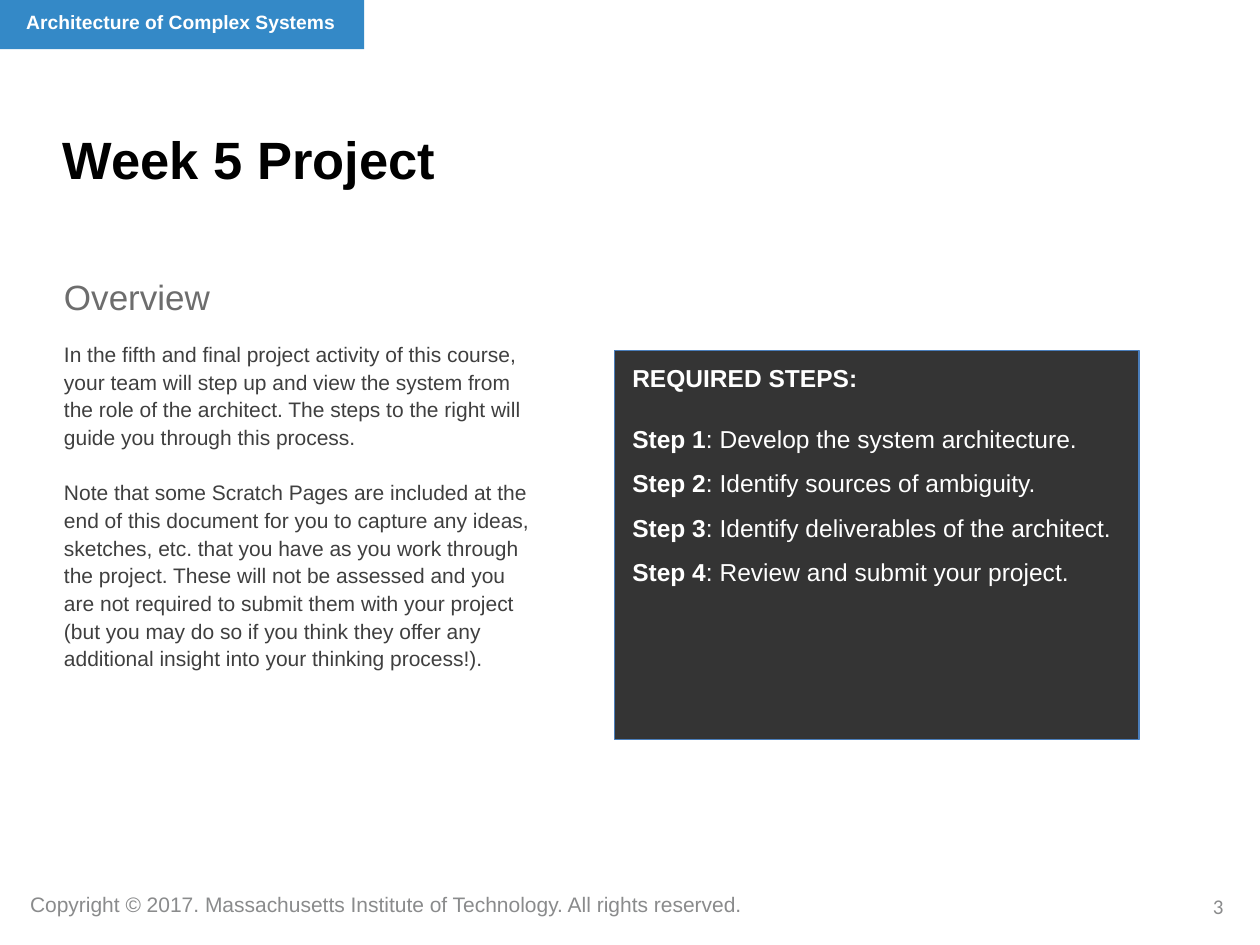
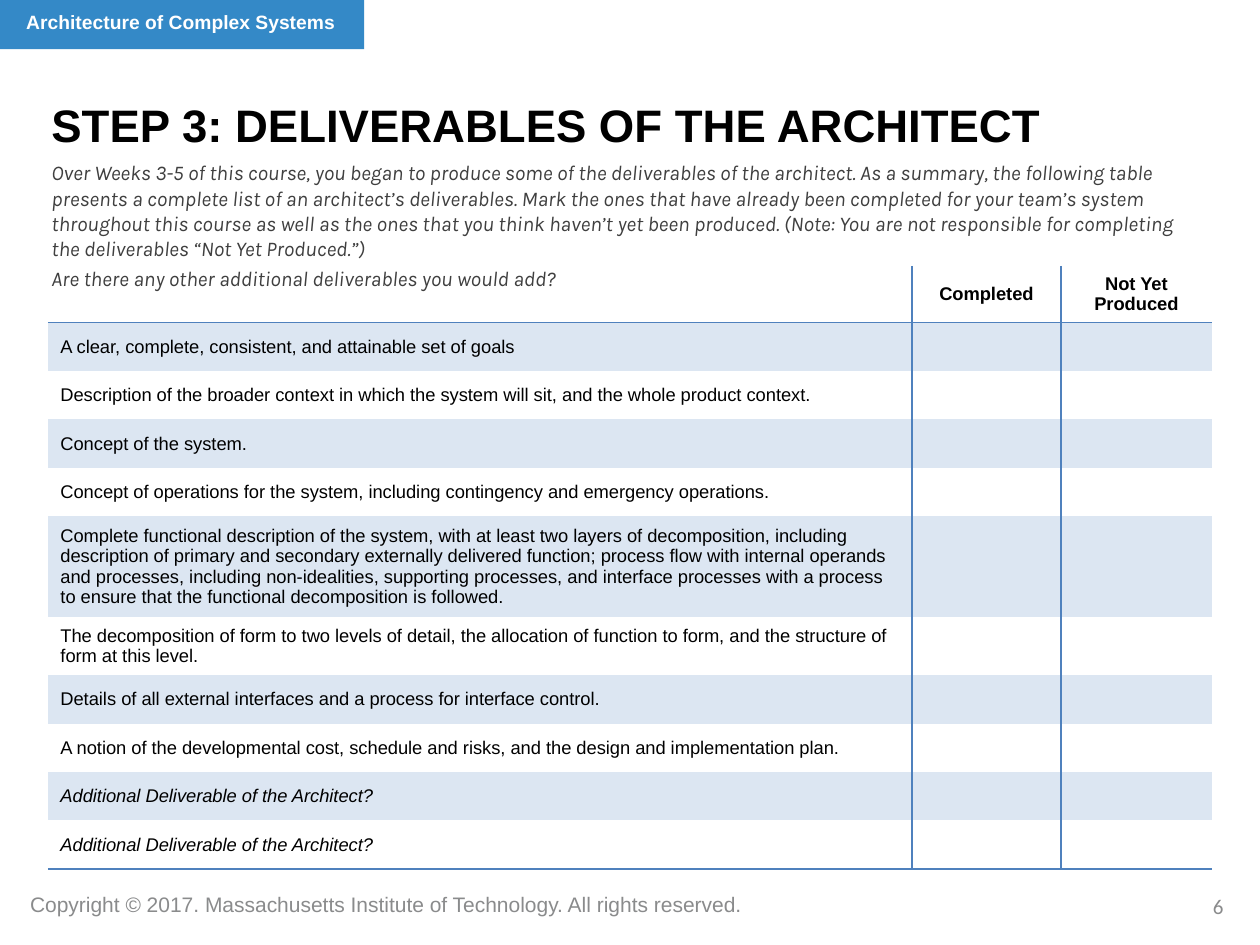
"""Build two project slides for a systems architecture course."""
import dataclasses

import lxml.etree
import pptx
import pptx.dml.color
import pptx.enum.shapes
import pptx.enum.text
import pptx.oxml.ns
import pptx.util

Inches = pptx.util.Inches
Pt = pptx.util.Pt
Align = pptx.enum.text.PP_ALIGN
Anchor = pptx.enum.text.MSO_ANCHOR
qn = pptx.oxml.ns.qn


@dataclasses.dataclass(frozen=True)
class Theme:
    """Colours, fonts and type sizes shared by the slides."""

    band: str = "3489C7"
    white: str = "FFFFFF"
    black: str = "000000"
    panel: str = "343434"
    panel_edge: str = "4A7EBB"
    body: str = "3F3F3F"
    heading: str = "6D6D6D"
    footer: str = "8A8B8C"
    rule: str = "4F81BD"
    stripe: str = "DCE6F2"
    font: str = "Arial"
    number_font: str = "Calibri"
    intro_font: str = "Karla"
    title_size: float = 30
    step_title_size: float = 26
    heading_size: float = 20
    panel_size: float = 14
    body_size: float = 12
    course_size: float = 11
    table_size: float = 10.5


THEME = Theme()
COURSE = "Architecture of Complex Systems"
COPYRIGHT = "Copyright © 2017. Massachusetts Institute of Technology. All rights reserved."
OVERVIEW = [
    "In the fifth and final project activity of this course, your team will step up and view "
    "the system from the role of the architect. The steps to the right will guide you through "
    "this process.",
    "Note that some Scratch Pages are included at the end of this document for you to capture "
    "any ideas, sketches, etc. that you have as you work through the project. These will not be "
    "assessed and you are not required to submit them with your project (but you may do so if "
    "you think they offer any additional insight into your thinking process!).",
]
STEPS = [
    "Develop the system architecture.",
    "Identify sources of ambiguity.",
    "Identify deliverables of the architect.",
    "Review and submit your project.",
]
INTRO = [
    "Over Weeks 3-5 of this course, you began to produce some of the deliverables of the "
    "architect. As a summary, the following table presents a complete list of an architect’s "
    "deliverables. Mark the ones that have already been completed for your team’s system "
    "throughout this course as well as the ones that you think haven’t yet been produced. "
    "(Note: You are not responsible for completing the deliverables “Not Yet Produced.”)",
    "Are there any other additional deliverables you would add?",
]
STATUSES = ["", "Completed", "Not Yet Produced"]
EXTRA = "Additional Deliverable of the Architect?"
ROW = 0.385
DELIVERABLES = [
    ("A clear, complete, consistent, and attainable set of goals", ROW),
    ("Description of the broader context in which the system will sit, and the whole product "
     "context.", ROW),
    ("Concept of the system.", ROW),
    ("Concept of operations for the system, including contingency and emergency operations.", ROW),
    ("Complete functional description of the system, with at least two layers of decomposition, "
     "including description of primary and secondary externally delivered function; process flow "
     "with internal operands and processes, including non-idealities, supporting processes, and "
     "interface processes with a process to ensure that the functional decomposition is followed.",
     0.79),
    ("The decomposition of form to two levels of detail, the allocation of function to form, and "
     "the structure of form at this level.", 0.46),
    ("Details of all external interfaces and a process for interface control.", ROW),
    ("A notion of the developmental cost, schedule and risks, and the design and implementation "
     "plan.", ROW),
    (EXTRA, ROW),
    (EXTRA, ROW),
]


def rgb(value):
    """Turn a hex string into a colour."""
    return pptx.dml.color.RGBColor.from_string(value)


def write(frame, text, *, size, color, font=THEME.font, bold=False, italic=False,
          align=Align.LEFT, spacing=1.0, after=0, lead=""):
    """Add one paragraph to a frame, with an optional bold lead-in."""
    paragraph = frame.paragraphs[0]
    if paragraph.runs:
        paragraph = frame.add_paragraph()
    paragraph.alignment = align
    paragraph.line_spacing = spacing
    paragraph.space_before = Pt(0)
    paragraph.space_after = Pt(after)
    for words, heavy in ((lead, True), (text, bold)):
        if words:
            run = paragraph.add_run()
            run.text = words
            run.font.name = font
            run.font.size = Pt(size)
            run.font.bold = heavy
            run.font.italic = italic
            run.font.color.rgb = rgb(color)


def add_frame(slide, box, wrap=True):
    """Add a text box and return its frame."""
    frame = slide.shapes.add_textbox(*map(Inches, box)).text_frame
    frame.word_wrap = wrap
    return frame


def add_block(slide, box, fill, edge=None):
    """Add a plain rectangle and return its text frame."""
    block = slide.shapes.add_shape(pptx.enum.shapes.MSO_SHAPE.RECTANGLE, *map(Inches, box))
    block.shadow.inherit = False
    block.fill.solid()
    block.fill.fore_color.rgb = rgb(fill)
    if edge:
        block.line.color.rgb = rgb(edge)
        block.line.width = Pt(0.75)
    else:
        block.line.fill.background()
    frame = block.text_frame
    frame.word_wrap = True
    frame.vertical_anchor = Anchor.TOP
    return frame


def add_base(deck, number):
    """Add a blank slide with the course band, copyright line and page number."""
    slide = deck.slides.add_slide(deck.slide_layouts[6])
    add_block(slide, (-0.01, 0, 2.9, 0.39), THEME.band)
    write(add_frame(slide, (0.11, 0.03, 2.79, 0.58)), COURSE,
          size=THEME.course_size, color=THEME.white, bold=True)
    write(add_frame(slide, (0.14, 7.03, 5.96, 0.3), wrap=False), COPYRIGHT,
          size=THEME.body_size, color=THEME.footer)
    write(add_frame(slide, (7.48, 7.04, 2.33, 0.4)), str(number), size=THEME.body_size,
          color=THEME.footer, font=THEME.number_font, align=Align.RIGHT)
    return slide


def add_title(slide, box, title, size):
    """Add the bold slide title."""
    write(add_block(slide, box, THEME.white), title, size=size, color=THEME.black, bold=True)


def add_overview(slide, box):
    """Add the overview heading with its text below."""
    left, top, width, height = box
    write(add_frame(slide, (left, top, width, 0.58)), "Overview",
          size=THEME.heading_size, color=THEME.heading)
    body = add_frame(slide, (left, top + 0.5, width, height - 0.5))
    for text, after in zip(OVERVIEW, (15.8, 0)):
        write(body, text, size=THEME.body_size, color=THEME.body, spacing=1.1, after=after)


def add_required_steps(slide, box):
    """Add the dark panel that lists the required steps."""
    left, top, width, height = box
    add_block(slide, box, THEME.panel, THEME.panel_edge)
    steps = add_frame(slide, (left + 0.04, top + 0.05, width - 0.12, height - 0.05))
    style = {"size": THEME.panel_size, "color": THEME.white}
    write(steps, "REQUIRED STEPS:", bold=True, after=10, **style)
    for number, step in enumerate(STEPS, 1):
        write(steps, f": {step}", lead=f"Step {number}", spacing=1.5, **style)


def add_intro(slide, box):
    """Add the italic instructions above the table."""
    intro = add_frame(slide, box)
    for text, after in zip(INTRO, (3, 0)):
        write(intro, text, size=THEME.body_size, color=THEME.body,
              font=THEME.intro_font, italic=True, after=after)


def set_borders(cell, ruled):
    """Rule the named sides of a cell and clear the others."""
    properties = cell._tc.get_or_add_tcPr()
    for position, side in enumerate("LRTB"):
        line = lxml.etree.Element(qn(f"a:ln{side}"), w=str(Pt(1)))
        if side in ruled:
            fill = lxml.etree.SubElement(line, qn("a:solidFill"))
            lxml.etree.SubElement(fill, qn("a:srgbClr"), val=THEME.rule)
        else:
            lxml.etree.SubElement(line, qn("a:noFill"))
        properties.insert(position, line)


def fill_cell(cell, text, row, column, last_row):
    """Set the text, fill and rules of one table cell."""
    header = row == 0
    cell.vertical_anchor = Anchor.MIDDLE
    if text:
        write(cell.text_frame, text, size=THEME.table_size, color=THEME.black, bold=header,
              italic=text == EXTRA, align=Align.CENTER if header else Align.LEFT)
    else:
        lxml.etree.SubElement(cell.text_frame.paragraphs[0]._p, qn("a:endParaRPr"),
                              sz=str(int(THEME.table_size * 100)))
    if header and column == 0:
        cell.fill.background()
    else:
        cell.fill.solid()
        cell.fill.fore_color.rgb = rgb(THEME.stripe if row % 2 else THEME.white)
    ruled = ("R", "LR", "L")[column]
    ruled += "T" if row == 1 else ""
    ruled += "B" if row in (0, last_row) else ""
    set_borders(cell, ruled)


def add_deliverables(slide, box):
    """Add the table of deliverables with its two status columns."""
    rows = [STATUSES] + [[text, "", ""] for text, _ in DELIVERABLES]
    heights = [0.45] + [height for _, height in DELIVERABLES]
    table = slide.shapes.add_table(len(rows), len(STATUSES), *map(Inches, box)).table
    table.first_row = False
    table.horz_banding = False
    for column, width in zip(table.columns, (box[2] - 2.38, 1.18, 1.2)):
        column.width = Inches(width)
    for row, (texts, height) in enumerate(zip(rows, heights)):
        table.rows[row].height = Inches(height)
        for column, text in enumerate(texts):
            fill_cell(table.cell(row, column), text, row, column, len(rows) - 1)


def build_overview_slide(deck):
    """Build the slide that introduces the project."""
    slide = add_base(deck, 3)
    add_title(slide, (0.4, 0.96, 4.64, 0.58), "Week 5 Project", THEME.title_size)
    add_overview(slide, (0.41, 2.14, 3.96, 4.29))
    add_required_steps(slide, (4.88, 2.78, 4.16, 3.09))


def build_deliverables_slide(deck):
    """Build the slide with the deliverables checklist."""
    slide = add_base(deck, 6)
    add_title(slide, (0.31, 0.72, 8.51, 0.69), "STEP 3: DELIVERABLES OF THE ARCHITECT",
              THEME.step_title_size)
    add_intro(slide, (0.31, 1.22, 9.21, 1.14))
    add_deliverables(slide, (0.38, 2.11, 9.24, 4.78))


def main():
    """Build and save the deck."""
    deck = pptx.Presentation()
    deck.slide_width = Inches(10)
    deck.slide_height = Inches(7.5)
    build_overview_slide(deck)
    build_deliverables_slide(deck)
    deck.save("out.pptx")


if __name__ == "__main__":
    main()
